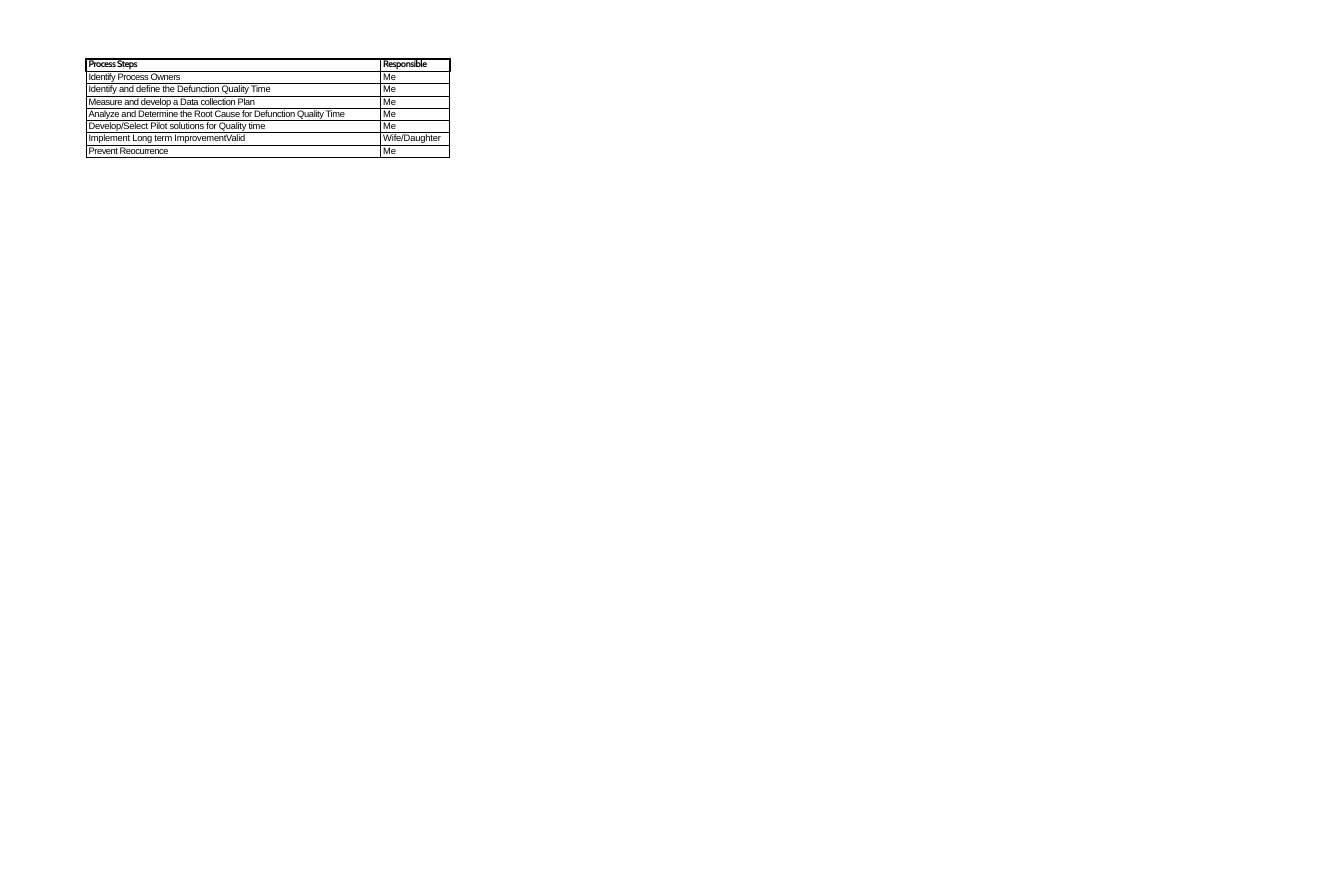
from lxml.etree import SubElement
from pptx import Presentation
from pptx.dml.color import RGBColor
from pptx.oxml.ns import qn
from pptx.util import Inches, Pt

# Content: step, responsible person, letter spacing of the step in points
HEAD = ("Process Steps", "Responsible", -0.65)
STEPS = [
    ("Identify Process Owners", "Me", -0.5),
    ("Identify and define the Defunction Quality Time", "Me", -0.31),
    ("Measure and develop a Data collection Plan", "Me", -0.47),
    ("Analyze and Determine the Root Cause for Defunction Quality Time", "Me", -0.45),
    ("Develop/Select Pilot solutions for Quality time", "Me", -0.31),
    ("Implement Long term ImprovementValid", "Wife/Daughter", -0.31),
    ("Prevent Reocurrence", "Me", -0.56),
]
THEME = {
    "ink": "000000", "size": 11, "head": "Cabin", "body": "Arial",
    "thin": 1, "thick": 2.25, "lead_head": 12.9, "lead_body": 13.15,
    "space_head": -0.6, "space_body": -0.2,
}
SLIDE = (21.99, 14.23)
LEFT, TOP = 1.41, 0.96
COLS = (4.82, 1.13)
ROWS = [0.21] + [0.2] * len(STEPS)


def set_edges(cell, row, col):
    """Thick frame around the header, thin lines elsewhere."""
    thick = {
        "L": row == 0 and col == 0,
        "R": row == 0 and col == len(COLS) - 1,
        "T": row <= 1,
        "B": row == 0,
    }
    props = cell._tc.get_or_add_tcPr()
    for side, heavy in thick.items():
        width = THEME["thick" if heavy else "thin"]
        line = SubElement(props, qn(f"a:ln{side}"), w=str(Pt(width)))
        fill = SubElement(line, qn("a:solidFill"))
        SubElement(fill, qn("a:srgbClr"), val=THEME["ink"])


def set_text(cell, text, kind, space):
    cell.margin_left = cell.margin_right = cell.margin_top = cell.margin_bottom = 0
    para = cell.text_frame.paragraphs[0]
    para.text = text
    para.line_spacing = Pt(THEME["lead_" + kind])
    para._p.get_or_add_pPr().set("marL", str(Inches(0.04)))
    run = para.runs[0]
    run.font.name = THEME[kind]
    run.font.size = Pt(THEME["size"])
    run.font.bold = kind == "head"
    run.font.color.rgb = RGBColor.from_string(THEME["ink"])
    run._r.get_or_add_rPr().set("spc", str(round(space * 100)))


def main():
    deck = Presentation()
    deck.slide_width, deck.slide_height = map(Inches, SLIDE)
    slide = deck.slides.add_slide(deck.slide_layouts[6])

    # Table grid
    frame = slide.shapes.add_table(
        len(ROWS), len(COLS), Inches(LEFT), Inches(TOP),
        Inches(sum(COLS)), Inches(sum(ROWS)))
    table = frame.table
    table.horz_banding = False
    for col, width in zip(table.columns, COLS):
        col.width = Inches(width)
    for row, height in zip(table.rows, ROWS):
        row.height = Inches(height)

    # Cells
    for r, (step, who, space) in enumerate([HEAD] + STEPS):
        kind = "body" if r else "head"
        pairs = ((step, space), (who, THEME["space_" + kind]))
        for c, (text, gap) in enumerate(pairs):
            cell = table.cell(r, c)
            set_text(cell, text, kind, gap)
            set_edges(cell, r, c)
            cell.fill.background()

    deck.save("out.pptx")


if __name__ == "__main__":
    main()
